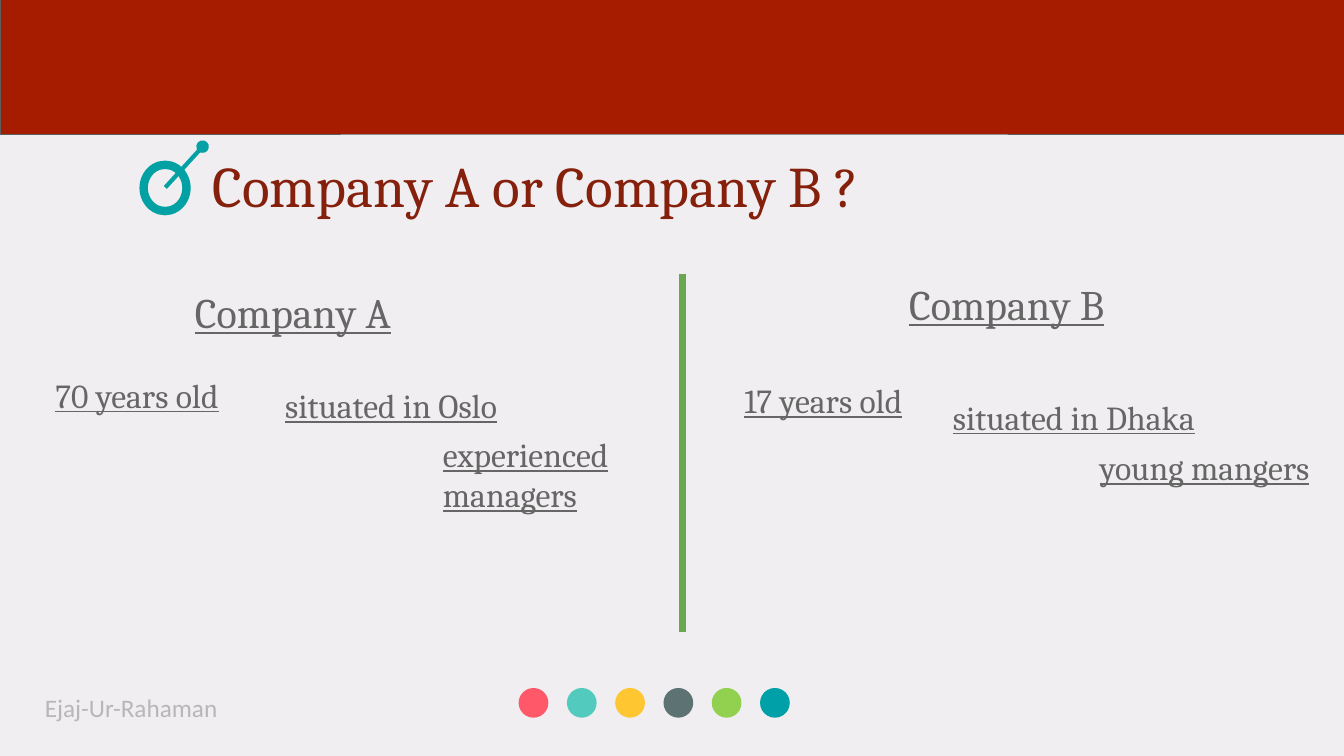
import pptx
import pptx.util
import pptx.dml.color
import pptx.enum.shapes
import pptx.oxml
import pptx.oxml.ns

Pt = pptx.util.Pt
KIND = pptx.enum.shapes.MSO_SHAPE

HEX = {
    "back": "F0EEF0", "band": "A61C00", "edge": "5E5E5E", "title": "85200C",
    "text": "666666", "foot": "B7B7B7", "teal": "03A1A4", "green": "6AA84F",
}
DOTS = ["FF5969", "52CBBE", "FEC630", "5D7373", "92D050", "00A0A8"]

# Text, left, top, width, height
HEADS = [
    ("Company A", 271.4, 402.5, 309.6, 103.7),
    ("Company B", 1291.7, 391, 309.6, 103.7),
]
FACTS = [
    ("70 years old", 72, 527.8, 328.3, 103.7),
    ("situated in Oslo", 400.3, 542.9, 328.3, 103.7),
    ("experienced managers", 625.7, 612.7, 328.3, 145.4),
    ("17 years old", 1056.2, 535.7, 328.3, 103.7),
    ("situated in Dhaka", 1354.3, 559.4, 374.4, 103.7),
    ("young mangers", 1563.8, 631.4, 328.3, 103.7),
]


def rgb(code):
    return pptx.dml.color.RGBColor.from_string(code)


def add_text(slide, text, left, top, width, height, size, color,
             font="Cambria", under=None):
    box = slide.shapes.add_textbox(Pt(left), Pt(top), Pt(width), Pt(height))
    frame = box.text_frame
    frame.word_wrap = True
    frame.margin_left = frame.margin_right = Pt(7.2)
    frame.margin_top = frame.margin_bottom = Pt(7.2)
    para = frame.paragraphs[0]
    para.text = text
    para.font.name = font
    para.font.size = Pt(size)
    para.font.underline = under
    para.font.color.rgb = rgb(color)


def add_shape(slide, kind, left, top, width, height,
              fill=None, line=None, weight=0):
    shape = slide.shapes.add_shape(
        kind, Pt(left), Pt(top), Pt(width), Pt(height))
    shape.shadow.inherit = False
    if fill:
        shape.fill.solid()
        shape.fill.fore_color.rgb = rgb(fill)
    else:
        shape.fill.background()
    if line:
        shape.line.color.rgb = rgb(line)
        shape.line.width = Pt(weight)
    else:
        shape.line.fill.background()


def add_line(slide, start, end, color, weight, tail=None):
    line = slide.shapes.add_connector(
        pptx.enum.shapes.MSO_CONNECTOR.STRAIGHT,
        Pt(start[0]), Pt(start[1]), Pt(end[0]), Pt(end[1]))
    line.line.color.rgb = rgb(color)
    line.line.width = Pt(weight)
    make, name = pptx.oxml.xmlchemy.OxmlElement, pptx.oxml.ns.qn
    props = line._element.spPr
    if tail:
        mark = make("a:tailEnd")
        mark.set("type", tail)
        props.find(name("a:ln")).append(mark)
    props.append(make("a:effectLst"))


def main():
    deck = pptx.Presentation()
    deck.slide_width, deck.slide_height = Pt(1920), Pt(1080)
    slide = deck.slides.add_slide(deck.slide_layouts[6])
    slide.background.fill.solid()
    slide.background.fill.fore_color.rgb = rgb(HEX["back"])

    # Row of dots
    for i, color in enumerate(DOTS):
        add_shape(slide, KIND.OVAL, 740.9 + 68.97 * i, 982.8, 42.5, 42.5,
                  color)

    # Title and top band
    add_text(slide, "Company A or Company B ?", 296.6, 207.4, 1468.8, 103.7,
             82, HEX["title"])
    add_shape(slide, KIND.RECTANGLE, 0, -0.7, 1926, 192.2,
              HEX["band"], HEX["edge"], 0.75)

    # Ring with pointer
    add_shape(slide, KIND.OVAL, 205.2, 235.4, 61.2, 66.2,
              line=HEX["teal"], weight=12)
    add_line(slide, (236.2, 267.8), (289.4, 209.5), HEX["teal"], 6, "oval")

    # Footer
    add_text(slide, "Ejaj-Ur-Rahaman", 56.9, 981.4, 309.6, 66.2,
             36, HEX["foot"], "Calibri")

    # Two columns and their divider
    add_line(slide, (974.9, 391), (974.9, 902.2), HEX["green"], 9)
    for size, items in ((60, HEADS), (48, FACTS)):
        for item in items:
            add_text(slide, *item, size, HEX["text"], under=True)

    deck.save("out.pptx")


if __name__ == "__main__":
    main()
